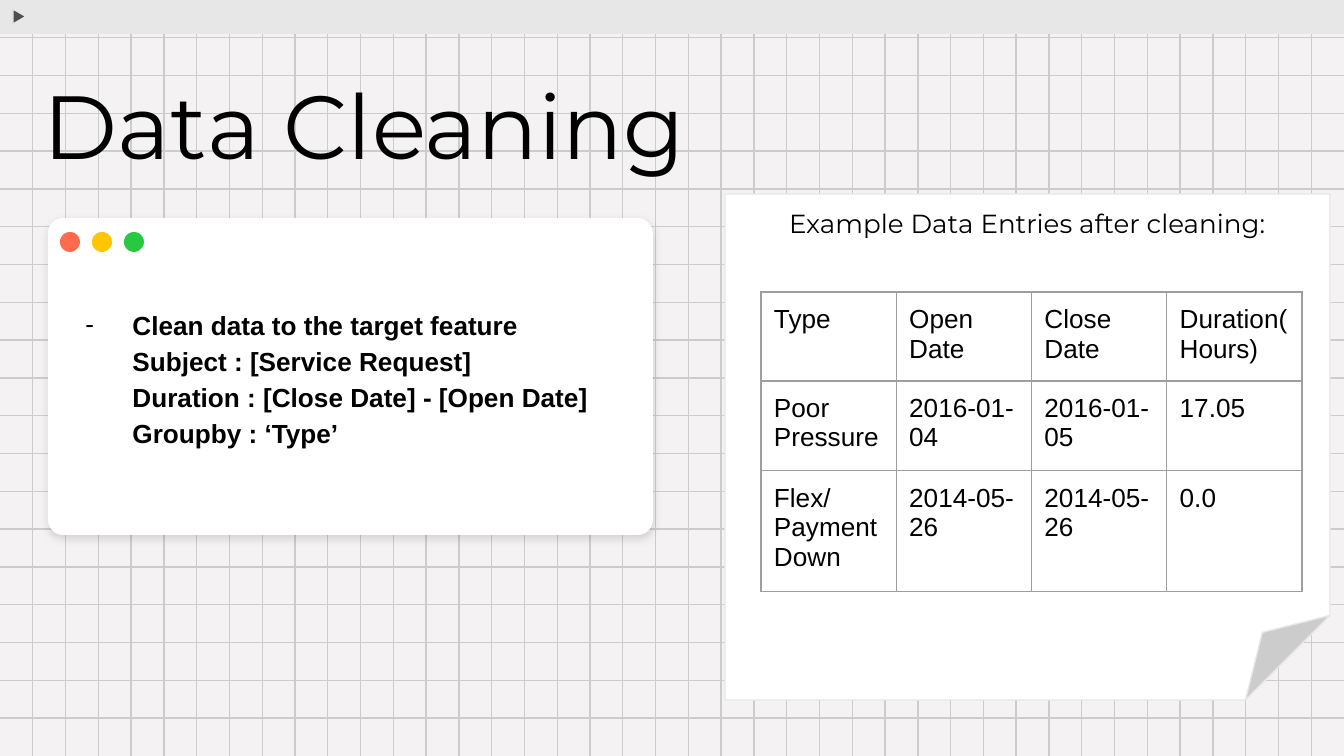
from lxml.etree import SubElement
from pptx import Presentation
from pptx.dml.color import RGBColor
from pptx.enum.shapes import MSO_CONNECTOR, MSO_SHAPE
from pptx.enum.text import MSO_ANCHOR, PP_ALIGN
from pptx.oxml import parse_xml
from pptx.oxml.ns import nsdecls, qn
from pptx.util import Pt

WIDTH, HEIGHT = 1344, 756
INSET = 13
BLACK, WHITE, BAR_GREY = "000000", "FFFFFF", "E7E7E7"
LIGHTS = ["FF6B4D", "FFC600", "28C840"]
STEPS = [
    "Clean data to the target feature",
    "Subject : [Service Request]",
    "Duration : [Close Date] - [Open Date]",
    "Groupby : ‘Type’",
]
ENTRIES = [
    ["Type", "Open Date", "Close Date", "Duration(Hours)"],
    ["Poor Pressure", "2016-01-04", "2016-01-05", "17.05"],
    ["Flex/Payment Down", "2014-05-26", "2014-05-26", "0.0"],
]
ROW_HEIGHTS = [89, 90, 121]


def emu(px):
    """Turn pixels into EMU."""
    return round(px * 9144000 / WIDTH)


def color(value):
    """Turn a hex string into a colour."""
    return RGBColor.from_string(value)


def set_font(para, size, name, bold=False):
    """Set the font of a whole paragraph."""
    font = para.font
    font.size, font.name, font.bold = Pt(size), name, bold
    font.color.rgb = color(BLACK)


def set_insets(holder):
    """Give a text frame or a cell equal margins."""
    holder.margin_left = holder.margin_right = emu(INSET)
    holder.margin_top = holder.margin_bottom = emu(INSET)


def add_shape(page, kind, box, fill, line=None, adjust=None):
    """Add a filled preset shape without a shadow."""
    shape = page.shapes.add_shape(kind, *map(emu, box))
    shape.shadow.inherit = False
    shape.fill.solid()
    shape.fill.fore_color.rgb = color(fill)
    if line:
        shape.line.color.rgb = color(line)
        shape.line.width = Pt(0.75)
    else:
        shape.line.fill.background()
    if adjust is not None:
        guides = shape._element.spPr.find(f'{qn("a:prstGeom")}/{qn("a:avLst")}')
        SubElement(guides, qn("a:gd"), name="adj", fmla=f"val {round(adjust * 100000)}")
    return shape


def add_line(page, start, end):
    """Add one thin grid line."""
    line = page.shapes.add_connector(MSO_CONNECTOR.STRAIGHT, *map(emu, start + end))
    line.line.color.rgb = color("CCCCCC")
    line.line.width = Pt(0.75)
    SubElement(line._element.spPr, qn("a:effectLst"))


def add_grid(page, box, columns, rows):
    """Rule the box into equal columns and rows."""
    left, top, width, height = box
    for row in range(1, rows):
        y = top + height * row / rows
        add_line(page, (left, y), (left + width, y))
    for column in range(1, columns):
        x = left + width * column / columns
        add_line(page, (x, top), (x, top + height))


def add_top_bar(page, box):
    """Add the grey bar with its play mark."""
    left, top, width, height = box
    add_shape(page, MSO_SHAPE.RECTANGLE, box, BAR_GREY)
    mark = add_shape(page, MSO_SHAPE.ISOSCELES_TRIANGLE,
                     (left + 12, top + 10, 15, 13), "4F4F4F", BAR_GREY)
    mark.rotation = 90


def add_title(page, box, text):
    """Add the slide title."""
    frame = page.shapes.add_textbox(*map(emu, box)).text_frame
    frame.word_wrap = True
    set_insets(frame)
    para = frame.paragraphs[0]
    para.text = text
    para.line_spacing = 0.9
    set_font(para, 48, "Montserrat")


def add_soft_shadow(shape):
    """Put a faint shadow below a shape."""
    effects = shape._element.spPr.find(qn("a:effectLst"))
    effects.append(parse_xml(
        f'<a:outerShdw {nsdecls("a")} blurRad="57150" dist="19050" dir="5400000" '
        'algn="bl" rotWithShape="0"><a:srgbClr val="000000">'
        '<a:alpha val="12000"/></a:srgbClr></a:outerShdw>'))


def add_bullet(properties, mark):
    """Add a black bullet to paragraph properties."""
    tint = SubElement(properties, qn("a:buClr"))
    SubElement(tint, qn("a:srgbClr"), val=BLACK)
    SubElement(properties, qn("a:buFont"), typeface="Arial")
    SubElement(properties, qn("a:buChar"), char=mark)


def add_window(page, box, steps):
    """Add the window card with its steps and three lights."""
    left, top, width, height = box
    card = add_shape(page, MSO_SHAPE.ROUNDED_RECTANGLE, box, WHITE, adjust=0.048)
    add_soft_shadow(card)
    frame = card.text_frame
    frame.word_wrap = True
    frame.vertical_anchor = MSO_ANCHOR.MIDDLE
    set_insets(frame)
    for index, step in enumerate(steps):
        para = frame.add_paragraph() if index else frame.paragraphs[0]
        para.text = step
        para.alignment = PP_ALIGN.LEFT
        para.line_spacing = 1.15
        properties = para._p.get_or_add_pPr()
        properties.set("marL", str(emu(67)))
        properties.set("indent", "0" if index else str(-emu(47)))
        if not index:
            add_bullet(properties, "-")
        set_font(para, 14, "Arial", bold=True)
    for index, light in enumerate(LIGHTS):
        add_shape(page, MSO_SHAPE.OVAL,
                  (left + 12 + 32 * index, top + 14, 20, 20), light)


def add_cell_borders(cell):
    """Draw a thin grey border round a table cell."""
    properties = cell._tc.get_or_add_tcPr()
    for index, side in enumerate(["lnL", "lnR", "lnT", "lnB"]):
        properties.insert(index, parse_xml(
            f'<a:{side} {nsdecls("a")} w="9525"><a:solidFill>'
            f'<a:srgbClr val="9E9E9E"/></a:solidFill></a:{side}>'))


def add_entry_table(page, box, entries):
    """Add the table of data entries."""
    table = page.shapes.add_table(len(entries), len(entries[0]), *map(emu, box)).table
    table.first_row = table.horz_banding = False
    for column in table.columns:
        column.width = emu(box[2] / len(entries[0]))
    for row, height, texts in zip(table.rows, ROW_HEIGHTS, entries):
        row.height = emu(height)
        for cell, text in zip(row.cells, texts):
            cell.text = text
            cell.fill.background()
            set_insets(cell)
            set_font(cell.text_frame.paragraphs[0], 14, "Arial")
            add_cell_borders(cell)


def add_note(page, box, heading, entries):
    """Add the folded sheet with its heading and table."""
    left, top, width, height = box
    sheet = add_shape(page, MSO_SHAPE.FOLDED_CORNER, box, WHITE, BAR_GREY, 0.167)
    frame = sheet.text_frame
    frame.word_wrap = True
    frame.vertical_anchor = MSO_ANCHOR.TOP
    set_insets(frame)
    para = frame.paragraphs[0]
    para.text = heading
    para.alignment = PP_ALIGN.CENTER
    set_font(para, 14, "Montserrat")
    add_entry_table(page, (left + 36, top + 98, 541, sum(ROW_HEIGHTS)), entries)


def main():
    """Build and save the slide."""
    deck = Presentation()
    deck.slide_width, deck.slide_height = emu(WIDTH), emu(HEIGHT)
    page = deck.slides.add_slide(deck.slide_layouts[6])
    page.background.fill.solid()
    page.background.fill.fore_color.rgb = color("F4F2F2")
    add_grid(page, (0, 0, WIDTH, HEIGHT), 41, 20)
    add_top_bar(page, (0, 0, WIDTH, 34))
    add_title(page, (31, 69, 890, 125), "Data Cleaning")
    add_window(page, (48, 218, 605, 317), STEPS)
    add_note(page, (725, 194, 605, 506), "Example Data Entries after cleaning:", ENTRIES)
    deck.save("out.pptx")


if __name__ == "__main__":
    main()
